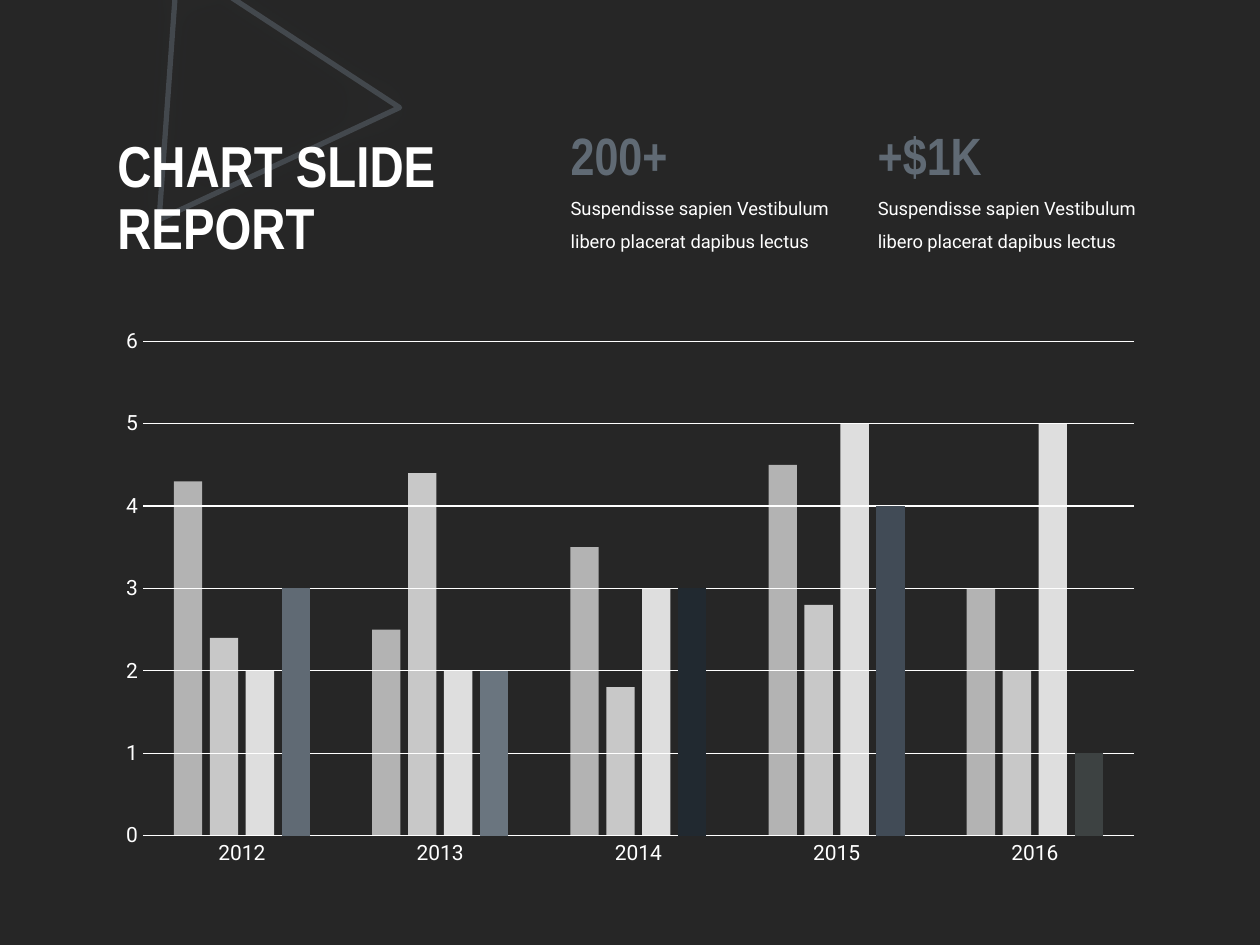
from pptx import Presentation
from pptx.chart.data import CategoryChartData
from pptx.dml.color import RGBColor
from pptx.enum.chart import XL_CHART_TYPE, XL_TICK_MARK
from pptx.enum.shapes import MSO_SHAPE
from pptx.enum.text import MSO_ANCHOR, MSO_AUTO_SIZE
from pptx.oxml import parse_xml
from pptx.oxml.ns import nsdecls
from pptx.util import Pt

BACKGROUND = RGBColor(0x26, 0x26, 0x26)
WHITE = RGBColor(0xFF, 0xFF, 0xFF)
SLATE = RGBColor(0x60, 0x6A, 0x74)
POINT_COLORS = {
    1: RGBColor(0x6A, 0x75, 0x7F),
    2: RGBColor(0x21, 0x29, 0x30),
    3: RGBColor(0x41, 0x4B, 0x56),
    4: RGBColor(0x3D, 0x42, 0x42),
}
HEADING_FONT = "Arial Narrow"
BODY_FONT = "Roboto"

YEARS = ["2012", "2013", "2014", "2015", "2016"]
# Name, values, color, opacity in percent
SERIES = [
    ("Series 1", (4.3, 2.5, 3.5, 4.5, 3), WHITE, 65),
    ("Series 2", (2.4, 4.4, 1.8, 2.8, 2), WHITE, 75),
    ("Series 3", (2, 2, 3, 5, 5), WHITE, 85),
    ("Series 4", (3, 2, 3, 4, 1), SLATE, 100),
]
# Left edge, figure
STATISTICS = [(319, "200+"), (494.5, "+$1K")]
STATISTIC_NOTE = "Suspendisse sapien Vestibulum libero placerat dapibus lectus"


def style_font(font, size, color, name=BODY_FONT, bold=False):
    font.name = name
    font.size = Pt(size)
    font.bold = bold
    font.color.rgb = color


def set_opacity(color_element, percent):
    color_element.append(
        parse_xml(f'<a:alpha {nsdecls("a")} val="{percent * 1000}"/>'))


def add_triangle(slide):
    shape = slide.shapes.add_shape(
        MSO_SHAPE.ISOSCELES_TRIANGLE, Pt(88.5), Pt(-9.5), Pt(147.5), Pt(132.5))
    shape.rotation = 94.1
    shape.fill.background()
    shape.line.width = Pt(3)
    shape.line.color.rgb = SLATE
    set_opacity(shape.element.xpath("./p:spPr/a:ln//a:srgbClr")[0], 50)
    # Soft glow around the outline
    shape.element.spPr.append(parse_xml(
        f'<a:effectLst {nsdecls("a")}>'
        f'<a:outerShdw blurRad="{Pt(25)}" dist="0" dir="0" algn="ctr" rotWithShape="0">'
        f'<a:srgbClr val="{SLATE}"><a:alpha val="35000"/></a:srgbClr>'
        '</a:outerShdw></a:effectLst>'))


def add_text(slide, box, lines, size, color, font_name, bold=False,
             spacing=1.0, anchor=MSO_ANCHOR.TOP, auto_size=MSO_AUTO_SIZE.SHAPE_TO_FIT_TEXT):
    text_frame = slide.shapes.add_textbox(*map(Pt, box)).text_frame
    text_frame.word_wrap = True
    text_frame.auto_size = auto_size
    text_frame.vertical_anchor = anchor
    paragraph = text_frame.paragraphs[0]
    paragraph.line_spacing = spacing
    for index, line in enumerate(lines):
        if index:
            paragraph.add_line_break()
        run = paragraph.add_run()
        run.text = line
        style_font(run.font, size, color, font_name, bold)


def add_statistic(slide, left, figure):
    add_text(slide, (left, 103, 178, 43.5), [STATISTIC_NOTE], 10.5, WHITE,
             BODY_FONT, spacing=1.5)
    add_text(slide, (left, 67, 96.5, 44), [figure], 30, SLATE, HEADING_FONT, bold=True)


def style_axis(axis):
    axis.major_tick_mark = XL_TICK_MARK.NONE
    axis.minor_tick_mark = XL_TICK_MARK.NONE
    style_font(axis.tick_labels.font, 12, WHITE)


def style_line(line):
    line.width = Pt(0.75)
    line.color.rgb = WHITE


def add_column_chart(slide):
    chart_data = CategoryChartData()
    chart_data.categories = YEARS
    for name, values, _, _ in SERIES:
        chart_data.add_series(name, values)
    chart = slide.shapes.add_chart(
        XL_CHART_TYPE.COLUMN_CLUSTERED, Pt(60), Pt(181.5), Pt(600), Pt(319.5),
        chart_data).chart
    chart.has_legend = False
    chart.has_title = False
    style_font(chart.font, 10, WHITE)

    # Axes and gridlines
    style_axis(chart.category_axis)
    style_line(chart.category_axis.format.line)
    value_axis = chart.value_axis
    style_axis(value_axis)
    value_axis.minimum_scale = 0
    value_axis.maximum_scale = 6
    value_axis.major_unit = 1
    value_axis.format.line.fill.background()
    style_line(value_axis.major_gridlines.format.line)

    # Columns
    plot = chart.plots[0]
    plot.vary_by_categories = False
    plot.gap_width = 219
    plot.overlap = -27
    series_elements = chart.element.xpath(".//c:ser")
    for series, element, (_, _, color, opacity) in zip(plot.series, series_elements, SERIES):
        series.invert_if_negative = False
        series.format.fill.solid()
        series.format.fill.fore_color.rgb = color
        if opacity < 100:
            set_opacity(element.xpath("./c:spPr/a:solidFill/a:srgbClr")[0], opacity)
    for index, color in POINT_COLORS.items():
        fill = plot.series[-1].points[index].format.fill
        fill.solid()
        fill.fore_color.rgb = color


def main():
    presentation = Presentation()
    presentation.slide_width = Pt(720)
    presentation.slide_height = Pt(540)
    slide = presentation.slides.add_slide(presentation.slide_layouts[6])
    slide.background.fill.solid()
    slide.background.fill.fore_color.rgb = BACKGROUND

    add_triangle(slide)
    add_text(slide, (60, 57, 304, 114), ["CHART SLIDE", "REPORT"], 33, WHITE,
             HEADING_FONT, bold=True, spacing=0.9, anchor=MSO_ANCHOR.MIDDLE,
             auto_size=MSO_AUTO_SIZE.NONE)
    add_column_chart(slide)
    for left, figure in STATISTICS:
        add_statistic(slide, left, figure)

    presentation.save("out.pptx")


if __name__ == "__main__":
    main()
